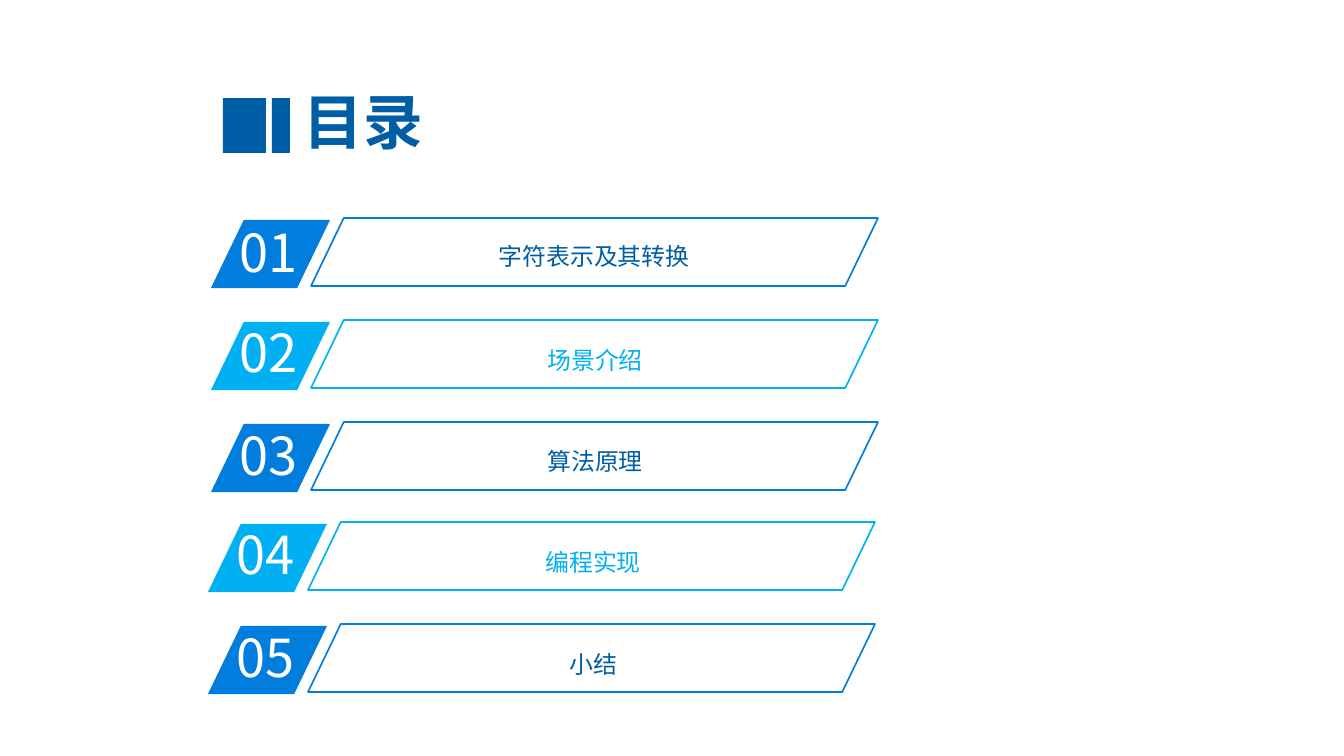
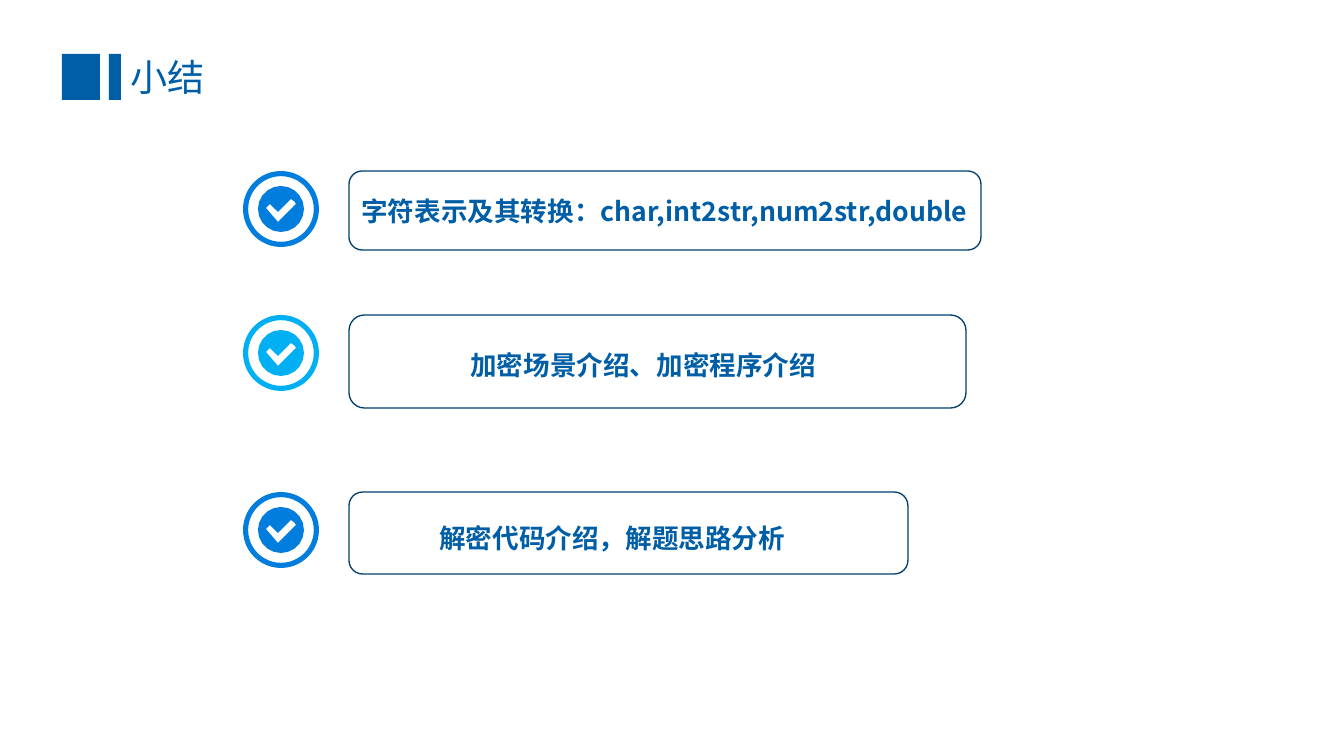
from math import cos, pi, sin

from lxml.etree import SubElement
from pptx import Presentation
from pptx.dml.color import RGBColor
from pptx.enum.shapes import MSO_SHAPE as SHAPE
from pptx.enum.text import MSO_ANCHOR as ANCHOR, MSO_AUTO_SIZE as AUTO, PP_ALIGN as ALIGN
from pptx.oxml.ns import qn
from pptx.util import Pt

PX = 914400 / 95.6
FONT = "Noto Sans CJK SC"
COLORS = {
    "title": "005EA6",
    "blue": "007DDD",
    "sky": "00B0F2",
    "frame": "003E6E",
    "white": "FFFFFF",
}
SLANT = 0.482
ROW_H = 68
CHECK = [(37, 16), (33, 13), (20, 26), (12, 18), (8, 22), (20, 36), (38, 18)]


def emu(*pixels):
    """Turn pixel lengths into EMU."""
    return [round(v * PX) for v in pixels]


def rgb(name):
    """Look up a named colour."""
    return RGBColor.from_string(COLORS[name])


def paint(sp, fill=None, line=None, width=1):
    """Give a shape a plain fill and outline, without shadow."""
    sp.shadow.inherit = False
    if fill:
        sp.fill.solid()
        sp.fill.fore_color.rgb = rgb(fill)
    else:
        sp.fill.background()
    if line:
        sp.line.color.rgb = rgb(line)
        sp.line.width = Pt(width)
    else:
        sp.line.fill.background()


def add_shape(s, kind, box, fill=None, line=None, width=1, adj=None):
    """Add a painted preset shape in a pixel box."""
    sp = s.shapes.add_shape(kind, *emu(*box))
    paint(sp, fill, line, width)
    if adj is not None:
        sp.adjustments[0] = adj


def add_text(s, box, text, size, color, bold=False, align=ALIGN.LEFT,
             spacing=None, wrap=True, anchor=ANCHOR.TOP):
    """Add one paragraph of text in a pixel box."""
    tf = s.shapes.add_textbox(*emu(*box)).text_frame
    tf.word_wrap = wrap
    tf.vertical_anchor = anchor
    if anchor == ANCHOR.TOP:
        tf.auto_size = AUTO.SHAPE_TO_FIT_TEXT
    p = tf.paragraphs[0]
    p.text = text
    p.alignment = align
    if spacing:
        p.line_spacing = spacing
    p.font.size = Pt(size)
    p.font.bold = bold
    p.font.color.rgb = rgb(color)
    p.font.name = FONT
    SubElement(p.font._rPr, qn("a:ea"), typeface=FONT)


def add_title_bars(s, x, y, h, wide, gap, narrow):
    """Draw the wide and the narrow bar that lead every title."""
    add_shape(s, SHAPE.RECTANGLE, (x + wide + gap, y, narrow, h), "title")
    add_shape(s, SHAPE.RECTANGLE, (x, y, wide, h), "title")


def add_agenda_row(s, x, y, number, text, accent, ink, number_dy, label_dx, label_dy):
    """Draw a numbered badge and the slanted frame with its label."""
    add_shape(s, SHAPE.PARALLELOGRAM, (x, y + 2, 119, ROW_H), accent, adj=SLANT)
    add_text(s, (x + 19, y + number_dy, 113, 73), number, 39.4, "white")
    add_text(s, (x + label_dx, y + label_dy, 416, 47), text, 18, ink,
             align=ALIGN.CENTER, spacing=1.5)
    add_shape(s, SHAPE.PARALLELOGRAM, (x + 100, y, 567, ROW_H),
              line=accent, width=1.25, adj=SLANT)


def add_check_badge(s, x, y, color):
    """Draw a ring around a disc with a check mark cut out."""
    add_shape(s, SHAPE.DONUT, (x, y, 76, 76), color, adj=0.068)
    left, top, radius, steps = x + 15, y + 15, 23, 20
    angles = [2 * pi * i / steps for i in range(steps)]
    disc = [emu(left + radius * (1 + cos(a)), top + radius * (1 + sin(a))) for a in angles]
    check = [emu(left + dx, top + dy) for dx, dy in CHECK]
    outline = s.shapes.build_freeform(*disc[0])
    outline.add_line_segments(disc[1:])
    outline.move_to(*check[0])
    outline.add_line_segments(check[1:])
    paint(outline.convert_to_shape(), color)


def add_summary_row(s, x, y, w, h, text, color, text_dx, text_dy, text_w, wrap):
    """Draw a check badge and a rounded frame with one point."""
    add_check_badge(s, x, y, color)
    frame_x = x + 106
    add_text(s, (frame_x + text_dx, y + text_dy, text_w, 43), text, 20, "title",
             bold=True, align=ALIGN.JUSTIFY, spacing=1.2, wrap=wrap)
    add_shape(s, SHAPE.ROUNDED_RECTANGLE, (frame_x, y, w, h), line="frame")


def build_agenda(s):
    """Build the table of contents."""
    add_text(s, (197, 84, 332, 73), "目录", 45, "title", bold=True,
             align=ALIGN.CENTER, anchor=ANCHOR.MIDDLE)
    add_title_bars(s, 223, 98, 55, 43, 6, 18)
    rows = [
        (211, 218, "字符表示及其转换", -2, 175, 5),
        (211, 320, "场景介绍", -4, 176, 7),
        (211, 422, "算法原理", -3, 176, 6),
        (208, 522, "编程实现", -4, 177, 7),
        (208, 624, "小结", -3, 177, 7),
    ]
    for i, (x, y, text, *offsets) in enumerate(rows):
        accent, ink = ("sky", "sky") if i % 2 else ("blue", "title")
        add_agenda_row(s, x, y, f"{i + 1:02}", text, accent, ink, *offsets)


def build_summary(s):
    """Build the summary with its three points."""
    add_text(s, (121, 50, 507, 54), "小结", 28, "title")
    add_title_bars(s, 62, 54, 46, 38, 9, 12)
    rows = [
        (171, 632, 79, "字符表示及其转换：char,int2str,num2str,double", "blue", 3, 13, 666, True),
        (315, 617, 93, "加密场景介绍、加密程序介绍", "sky", 112, 23, 370, False),
        (492, 559, 82, "解密代码介绍，解题思路分析", "blue", 81, 19, 370, False),
    ]
    for row in rows:
        add_summary_row(s, 243, *row)


prs = Presentation()
prs.slide_width, prs.slide_height = emu(1344, 756)
for build in (build_agenda, build_summary):
    build(prs.slides.add_slide(prs.slide_layouts[6]))
prs.save("out.pptx")
